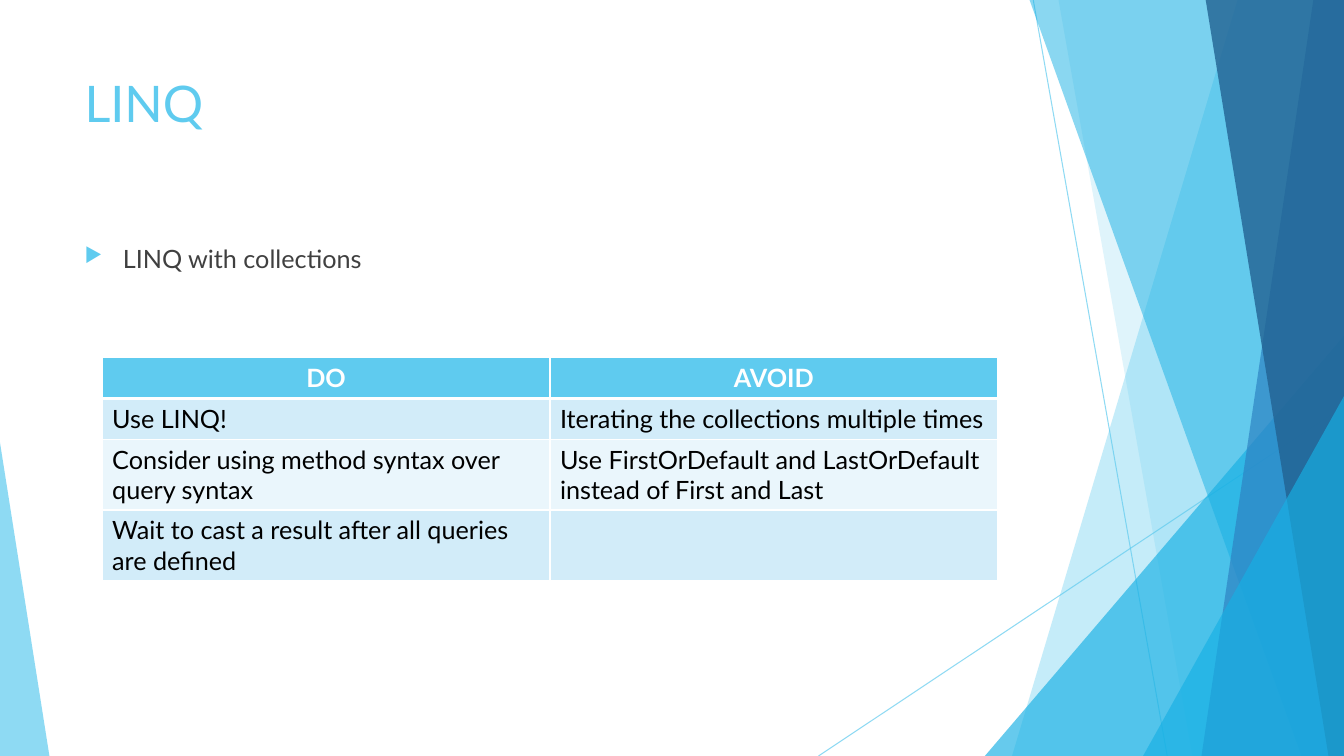
from dataclasses import dataclass

from pptx import Presentation
from pptx.dml.color import RGBColor
from pptx.enum.shapes import MSO_CONNECTOR, MSO_SHAPE
from pptx.enum.text import MSO_ANCHOR, PP_ALIGN
from pptx.oxml.ns import qn
from pptx.oxml.xmlchemy import OxmlElement
from pptx.util import Emu, Inches, Pt

STRAIGHT = MSO_CONNECTOR.STRAIGHT
TRIANGLE = MSO_SHAPE.ISOSCELES_TRIANGLE
TOP = MSO_ANCHOR.TOP
LEFT, CENTER = PP_ALIGN.LEFT, PP_ALIGN.CENTER
SLIDE_W, SLIDE_H = Inches(13.333), Inches(7.5)
BLEED = -0.13


@dataclass(frozen=True)
class Theme:
    font: str = "Lato"
    title_size: int = 36
    body_size: int = 18
    sky: str = "5FCBEF"
    cyan: str = "17B0E4"
    blue: str = "2E83C3"
    navy: str = "226292"
    white: str = "FFFFFF"
    grey: str = "404040"
    black: str = "000000"
    stripes: tuple[str, str] = ("D2ECF9", "EAF6FC")


THEME = Theme()


# Positions and sizes are percentages of the slide's width and height.
@dataclass(frozen=True)
class Ray:
    x1: float
    y1: float
    x2: float
    y2: float


@dataclass(frozen=True)
class Band:
    top_x: float
    bottom_x: float
    color: str
    opacity: int


@dataclass(frozen=True)
class Wedge:
    left: float
    top: float
    width: float
    apex: float
    color: str
    opacity: int


RAYS = [Ray(76.88, 0, 86.85, 100), Ray(100, 53.73, 60.9, 100)]
FACETS = [
    Band(92.1, 75.3, THEME.sky, 36),
    Band(78.75, 88.73, THEME.sky, 20),
    Wedge(73.28, 44.4, 26.72, 1, THEME.cyan, 66),
    Band(76.58, 96.83, THEME.cyan, 50),
    Band(97.73, 89.4, THEME.blue, 70),
    Band(89.7, 98.85, THEME.navy, 80),
    Wedge(85.05, 52.4, 14.95, 1, THEME.cyan, 66),
    Wedge(0, 58.53, 3.68, 0, THEME.sky, 70),
]
ROWS = [
    ("DO", "AVOID"),
    ("Use LINQ!", "Iterating the collections multiple times"),
    ("Consider using method syntax over query syntax",
     "Use FirstOrDefault and LastOrDefault instead of First and Last"),
    ("Wait to cast a result after all queries are defined", ""),
]


def x(share: float) -> Emu:
    return Emu(round(SLIDE_W * share / 100))


def y(share: float) -> Emu:
    return Emu(round(SLIDE_H * share / 100))


def rgb(color: str) -> RGBColor:
    return RGBColor.from_string(color)


def add_child(parent, tag: str, **attrs):
    child = OxmlElement(tag)
    for name, value in attrs.items():
        child.set(name, str(value))
    parent.append(child)
    return child


def set_opacity(sp, percent: int) -> None:
    color = next(sp._element.iter(qn("a:srgbClr")))
    add_child(color, "a:alpha", val=percent * 1000)


def draw_ray(s, ray: Ray) -> None:
    line = s.shapes.add_connector(STRAIGHT, x(ray.x1), y(ray.y1), x(ray.x2), y(ray.y2))
    line.line.color.rgb = rgb(THEME.sky)
    line.line.width = Pt(0.75)
    set_opacity(line, 70)
    add_child(line._element.spPr, "a:effectLst")


def draw_facet(s, facet: Band | Wedge) -> None:
    """Draw a band reaching the right edge, or a right-angled wedge on the bottom edge."""
    if isinstance(facet, Band):
        builder = s.shapes.build_freeform(x(facet.top_x), y(BLEED))
        builder.add_line_segments(
            [(x(100), y(BLEED)), (x(100), y(100)), (x(facet.bottom_x), y(100))], close=True)
        sp = builder.convert_to_shape()
    else:
        sp = s.shapes.add_shape(TRIANGLE, x(facet.left), y(facet.top),
                                x(facet.width), y(100 - facet.top))
        sp.adjustments[0] = facet.apex
    sp.shadow.inherit = False
    sp.fill.solid()
    sp.fill.fore_color.rgb = rgb(facet.color)
    sp.line.fill.background()
    set_opacity(sp, facet.opacity)


def style(p, size: int, color: str, bold: bool = False) -> None:
    p.font.name = THEME.font
    p.font.size = Pt(size)
    p.font.color.rgb = rgb(color)
    p.font.bold = bold


def add_text(s, text: str, top: float, height: float, size: int, color: str):
    tf = s.shapes.add_textbox(x(5.55), y(top), x(70.5), y(height)).text_frame
    tf.word_wrap = True
    tf.vertical_anchor = TOP
    p = tf.paragraphs[0]
    p.text = text
    style(p, size, color)
    return p


def add_bullet(p) -> None:
    p.space_before = Pt(10)
    pPr = p._p.get_or_add_pPr()
    pPr.set("marL", str(Inches(0.38)))
    pPr.set("indent", str(Inches(-0.38)))
    bullet_color = OxmlElement("a:buClr")
    add_child(bullet_color, "a:srgbClr", val=THEME.sky)
    bullet_size = OxmlElement("a:buSzPct")
    bullet_size.set("val", "80000")
    bullet = OxmlElement("a:buChar")
    bullet.set("char", "▶")
    defaults = pPr.find(qn("a:defRPr"))
    for element in (bullet_color, bullet_size, bullet):
        defaults.addprevious(element)


def set_borders(cell, row: int) -> None:
    """Outline a cell in white, with a heavier rule under the header row."""
    widths = {"L": 1, "R": 1, "T": 3 if row == 1 else 1, "B": 3 if row == 0 else 1}
    tcPr = cell._tc.get_or_add_tcPr()
    for side, width in widths.items():
        border = add_child(tcPr, f"a:ln{side}", w=Pt(width))
        add_child(add_child(border, "a:solidFill"), "a:srgbClr", val=THEME.white)


def draw_table(s) -> None:
    row_height = y(5.4)
    table = s.shapes.add_table(len(ROWS), len(ROWS[0]), x(7.6), y(47.33),
                               x(66.64), row_height * len(ROWS)).table
    for i, row in enumerate(ROWS):
        header = i == 0
        for j, text in enumerate(row):
            cell = table.cell(i, j)
            set_borders(cell, i)
            cell.fill.solid()
            cell.fill.fore_color.rgb = rgb(THEME.sky if header else THEME.stripes[(i - 1) % 2])
            p = cell.text_frame.paragraphs[0]
            p.text = text
            p.alignment = CENTER if header else LEFT
            style(p, THEME.body_size, THEME.white if header else THEME.black, header)


def main() -> None:
    prs = Presentation()
    prs.slide_width, prs.slide_height = SLIDE_W, SLIDE_H
    s = prs.slides.add_slide(prs.slide_layouts[6])
    for ray in RAYS:
        draw_ray(s, ray)
    for facet in FACETS:
        draw_facet(s, facet)
    add_text(s, "LINQ", 8.93, 19.2, THEME.title_size, THEME.sky)
    add_bullet(add_text(s, "LINQ with collections", 31.47, 56.53, THEME.body_size, THEME.grey))
    draw_table(s)
    prs.save("out.pptx")


if __name__ == "__main__":
    main()
